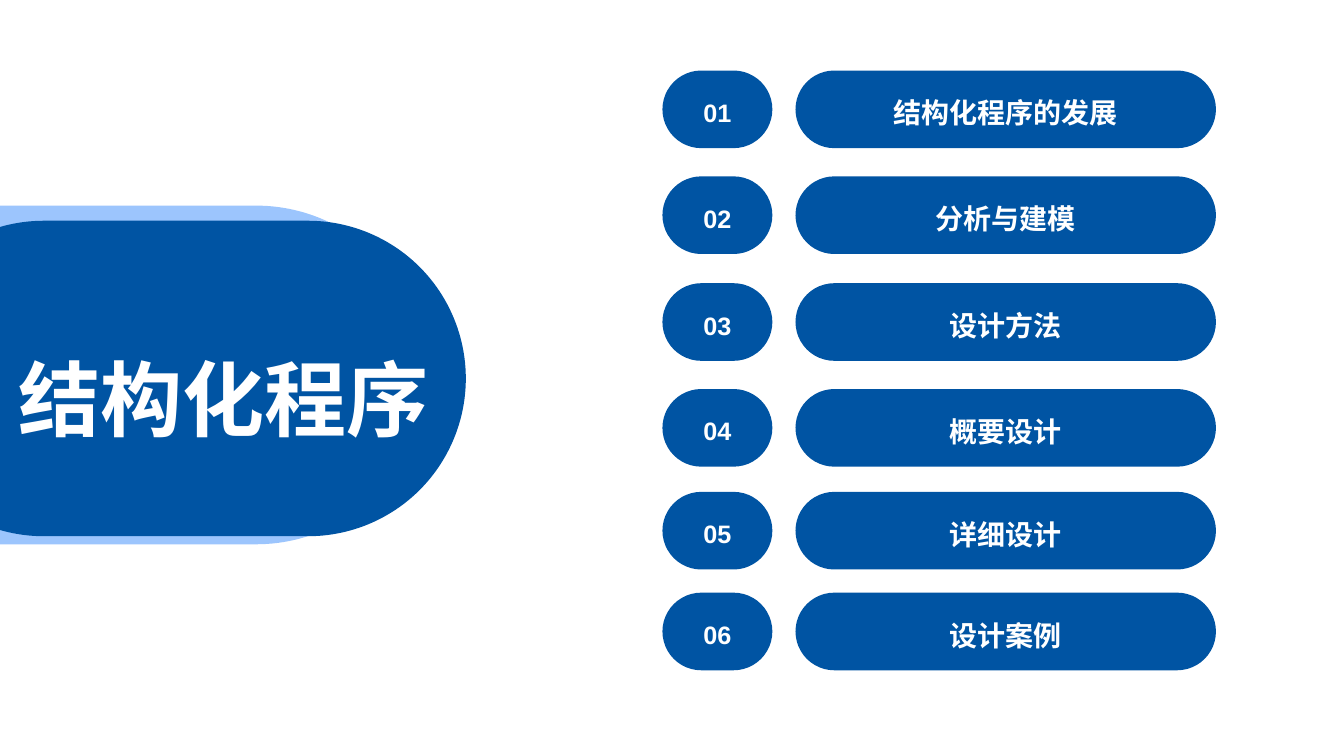
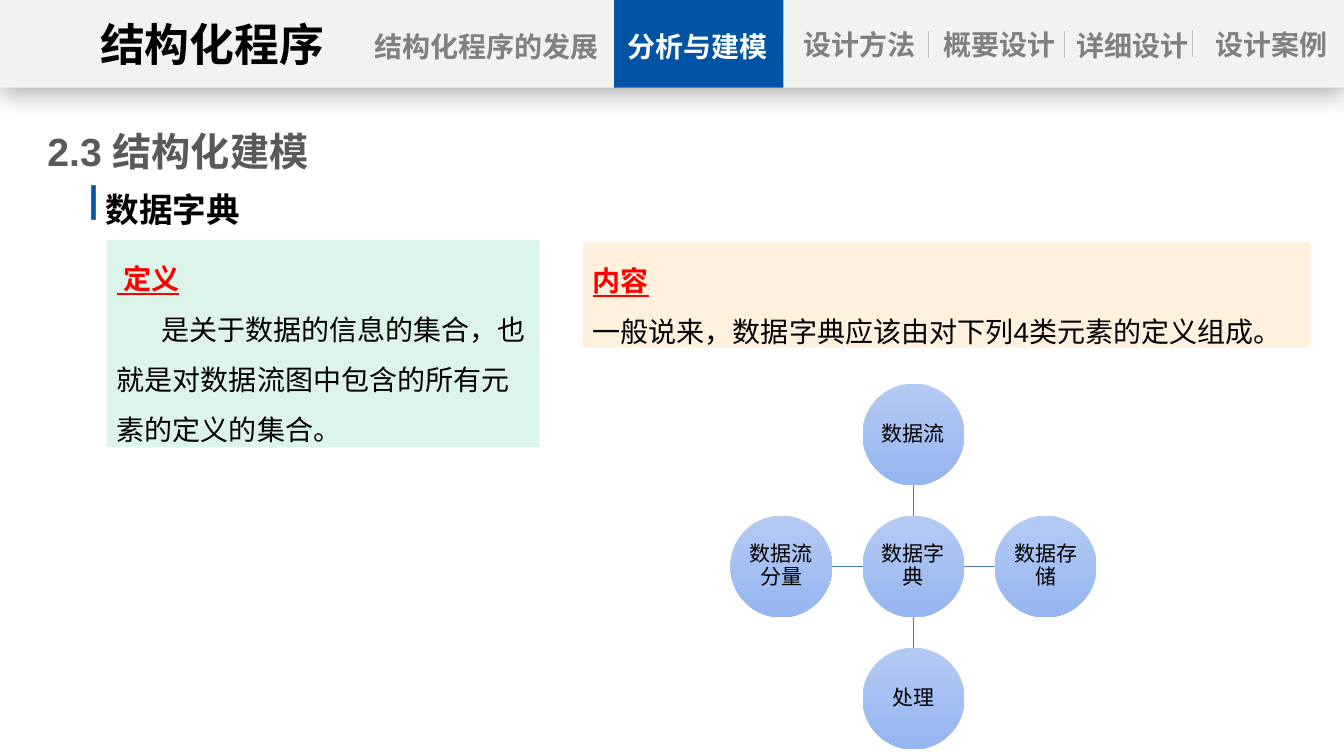
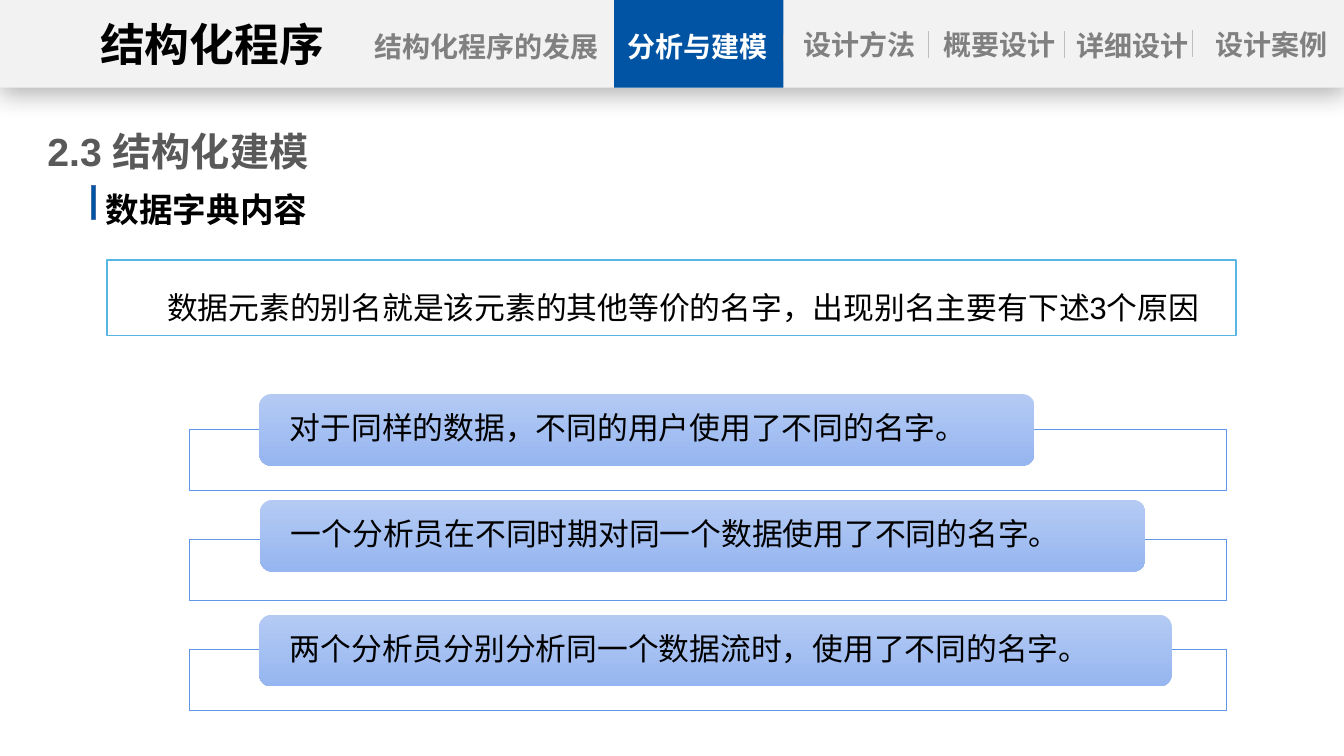
import pptx
import pptx.dml.color
import pptx.enum.lang
import pptx.enum.shapes
import pptx.enum.text
import pptx.oxml
import pptx.oxml.ns
import pptx.util

RGB = pptx.dml.color.RGBColor
SHAPE = pptx.enum.shapes.MSO_SHAPE
ALIGN = pptx.enum.text.PP_ALIGN
ANCHOR = pptx.enum.text.MSO_ANCHOR

BLUE = RGB(0x00, 0x54, 0xA3)
PALE_BLUE = RGB(0x9C, 0xC5, 0xFD)
GRADIENT = (RGB(0xB4, 0xCA, 0xF3), RGB(0x96, 0xB6, 0xF1))
SPOKE_BLUE = RGB(0x4D, 0x78, 0xB8)
BAR_EDGE = RGB(0x47, 0x6F, 0xAA)
NOTE_EDGE = RGB(0x58, 0xB6, 0xE5)
FRAME_EDGE = RGB(0x60, 0x96, 0xE6)
MINT = RGB(0xDD, 0xF4, 0xEA)
CREAM = RGB(0xFF, 0xF1, 0xDD)
BAND_GREY = RGB(0xF2, 0xF2, 0xF2)
DIVIDER_GREY = RGB(0xBF, 0xBF, 0xBF)
TAB_GREY = RGB(0x80, 0x80, 0x80)
TITLE_GREY = RGB(0x59, 0x59, 0x59)
RED = RGB(0xFF, 0x00, 0x00)
BLACK = RGB(0x00, 0x00, 0x00)
WHITE = RGB(0xFF, 0xFF, 0xFF)

FONT = "Arial"
SLIDE_WIDTH, SLIDE_HEIGHT = 13.33, 7.5
BAND_HEIGHT = 0.87
TITLE_ONLY = 5
COURSE = "结构化程序"
CHAPTERS = ("结构化程序的发展", "分析与建模", "设计方法",
            "概要设计", "详细设计", "设计案例")
CURRENT = "分析与建模"
NO_SIDE_INSET = (0, 0.05)


def inches(*lengths):
    return [pptx.util.Inches(length) for length in lengths]


def write(box, text, size=20, color=BLACK, bold=False, underline=False,
          align=ALIGN.LEFT, spacing=1.0, indent=0, anchor=ANCHOR.TOP,
          inset=(0.1, 0.05), wrap=True, more=False):
    """Write one paragraph into a box; more=True adds it below the others."""
    frame = box.text_frame
    frame.word_wrap = wrap
    frame.auto_size = pptx.enum.text.MSO_AUTO_SIZE.NONE
    frame.vertical_anchor = anchor
    frame.margin_left = frame.margin_right = pptx.util.Inches(inset[0])
    frame.margin_top = frame.margin_bottom = pptx.util.Inches(inset[1])
    para = frame.add_paragraph() if more else frame.paragraphs[0]
    para.alignment = align
    para.line_spacing = spacing
    if indent:
        properties = para._p.get_or_add_pPr()
        properties.set("marL", "0")
        properties.set("indent", str(pptx.util.Inches(indent)))
    span = para.add_run()
    span.text = text
    font = span.font
    font.name, font.size, font.bold = FONT, pptx.util.Pt(size), bold
    font.underline = underline
    font.color.rgb = color
    font.language_id = pptx.enum.lang.MSO_LANGUAGE_ID.SIMPLIFIED_CHINESE


def add_text(slide, at, text, **style):
    box = slide.shapes.add_textbox(*inches(*at))
    write(box, text, **style)
    return box


def add_box(slide, kind, at, fill, edge=None, edge_width=1):
    """Add a preset shape; a pair of colours as fill makes a gradient."""
    box = slide.shapes.add_shape(kind, *inches(*at))
    box.shadow.inherit = False
    if fill is GRADIENT:
        box.fill.gradient()
        box.fill.gradient_angle = 270
        for stop, color in zip(box.fill.gradient_stops, fill):
            stop.color.rgb = color
    else:
        box.fill.solid()
        box.fill.fore_color.rgb = fill
    if edge is None:
        box.line.fill.background()
    else:
        box.line.color.rgb = edge
        box.line.width = pptx.util.Pt(edge_width)
    return box


def add_pill(slide, at, fill=BLUE):
    pill = add_box(slide, SHAPE.ROUNDED_RECTANGLE, at, fill)
    pill.adjustments[0] = 0.5
    return pill


def add_line(slide, start, end, color, width):
    line = slide.shapes.add_connector(
        pptx.enum.shapes.MSO_CONNECTOR.STRAIGHT, *inches(*start, *end))
    line.line.color.rgb = color
    line.line.width = pptx.util.Pt(width)
    line._element.spPr.append(pptx.oxml.parse_xml(
        f"<a:effectLst {pptx.oxml.ns.nsdecls('a')}/>"))


def set_title(slide, at, text, **style):
    title = slide.shapes.title
    title.left, title.top, title.width, title.height = inches(*at)
    write(title, text, **style)
    # Bring the title in front of the shapes drawn so far
    slide.shapes.element.append(title.element)


def cast_shadow(box):
    effects = box._element.spPr.find(pptx.oxml.ns.qn("a:effectLst"))
    effects.append(pptx.oxml.parse_xml(
        f'<a:outerShdw {pptx.oxml.ns.nsdecls("a")} blurRad="228600" '
        'dist="50800" dir="5400000" algn="t" rotWithShape="0">'
        '<a:srgbClr val="000000"><a:alpha val="29000"/></a:srgbClr>'
        '</a:outerShdw>'))


def add_navigation(slide):
    """Grey band with the course name and one tab per chapter."""
    band = add_box(slide, SHAPE.RECTANGLE,
                   (0, 0, SLIDE_WIDTH, BAND_HEIGHT), BAND_GREY)
    cast_shadow(band)
    add_box(slide, SHAPE.RECTANGLE, (6.09, 0, 1.68, BAND_HEIGHT), BLUE)
    add_text(slide, (0.91, 0.12, 2.39, 0.64), COURSE, size=32, bold=True,
             align=ALIGN.CENTER, inset=NO_SIDE_INSET)
    tabs = ((3.64, 0.24, 2.37), (6.18, 0.24, 1.47), (7.79, 0.22, 1.47),
            (9.18, 0.22, 1.47), (10.47, 0.23, 1.52), (11.88, 0.22, 1.47))
    for chapter, tab in zip(CHAPTERS, tabs):
        add_text(slide, (*tab, 0.44), chapter, bold=True,
                 color=WHITE if chapter == CURRENT else TAB_GREY,
                 align=ALIGN.CENTER, inset=NO_SIDE_INSET)
    for left, top in ((7.77, 0.34), (9.21, 0.31), (10.56, 0.31), (11.83, 0.3)):
        add_line(slide, (left, top), (left, top + 0.27), DIVIDER_GREY, 0.5)


def add_slide(deck):
    return deck.slides.add_slide(deck.slide_layouts[TITLE_ONLY])


def add_topic_slide(deck, topic):
    """Slide with navigation, section title and a topic beside a blue bar."""
    slide = add_slide(deck)
    add_navigation(slide)
    set_title(slide, (0.47, 1.21, 2.83, 0.58), "2.3 结构化建模", size=28,
              color=TITLE_GREY, bold=True, inset=NO_SIDE_INSET)
    add_box(slide, SHAPE.RECTANGLE, (0.91, 1.84, 0.04, 0.34), BLUE, BAR_EDGE)
    add_text(slide, (0.95, 1.83, 5.54, 0.5), topic, size=24, bold=True)
    return slide


def add_card(slide, at, fill, heading, body, indent=0):
    card = add_box(slide, SHAPE.RECTANGLE, at, fill)
    write(card, heading, color=RED, bold=True, underline=True, spacing=1.5)
    write(card, body, spacing=1.5, indent=indent, more=True)


def add_hub(slide, center, hub, spokes):
    """Hub circle with one circle per direction, each joined by a line."""
    diameter, pitch = 1.01, 1.31
    radius = diameter / 2

    def add_circle(x, y, label):
        circle = add_box(slide, SHAPE.OVAL,
                         (x - radius, y - radius, diameter, diameter), GRADIENT)
        write(circle, label, size=15, align=ALIGN.CENTER, spacing=0.9,
              anchor=ANCHOR.MIDDLE, inset=(0.01, 0.01))

    x, y = center
    add_circle(x, y, hub)
    for label, (across, down) in spokes.items():
        near, far = radius, pitch - radius
        add_line(slide, (x + across * near, y + down * near),
                 (x + across * far, y + down * far), SPOKE_BLUE, 1)
        add_circle(x + across * pitch, y + down * pitch, label)


def add_reason(slide, frame_top, pill_at, text):
    add_box(slide, SHAPE.RECTANGLE, (1.88, frame_top, 10.28, 0.61),
            WHITE, FRAME_EDGE, 0.5)
    pill = add_box(slide, SHAPE.ROUNDED_RECTANGLE, (*pill_at, 0.71), GRADIENT)
    write(pill, text, size=22, spacing=0.9, anchor=ANCHOR.MIDDLE,
          inset=(0.27, 0))


def build_contents(deck):
    slide = add_slide(deck)
    add_pill(slide, (-1.96, 2.04, 6.18, 3.36), PALE_BLUE)
    add_pill(slide, (-1.13, 2.19, 5.75, 3.13))
    set_title(slide, (0.06, 3.21, 4.31, 1.18), COURSE, size=58.6, color=WHITE,
              bold=True, align=ALIGN.CENTER, spacing=1.2, wrap=False)
    # Chapter number and name, one row each
    row_tops = (0.7, 1.75, 2.81, 3.86, 4.88, 5.88)
    for number, (chapter, top) in enumerate(zip(CHAPTERS, row_tops), 1):
        for left, width, text, size in ((6.57, 1.09, f"{number:02}", 18),
                                        (7.89, 4.17, chapter, 20)):
            write(add_pill(slide, (left, top, width, 0.77)), text, size=size,
                  color=WHITE, bold=True, align=ALIGN.CENTER, spacing=1.2,
                  anchor=ANCHOR.MIDDLE)


def build_dictionary(deck):
    slide = add_topic_slide(deck, "数据字典")
    add_card(slide, (1.06, 2.38, 4.29, 2.06), MINT, " 定义",
             "是关于数据的信息的集合，也就是对数据流图中包含的所有元素的定义的集合。",
             indent=0.44)
    add_card(slide, (5.78, 2.4, 7.22, 1.05), CREAM, "内容",
             "一般说来，数据字典应该由对下列4类元素的定义组成。")
    add_hub(slide, (9.06, 5.62), "数据字典",
            {"数据流": (0, -1), "数据存储": (1, 0),
             "处理": (0, 1), "数据流分量": (-1, 0)})


def build_aliases(deck):
    slide = add_topic_slide(deck, "数据字典内容")
    note = add_box(slide, SHAPE.RECTANGLE, (1.06, 2.58, 11.2, 0.75),
                   WHITE, NOTE_EDGE)
    write(note, "数据元素的别名就是该元素的其他等价的名字，出现别名主要有下述3个原因",
          size=22, spacing=1.5, indent=0.5, anchor=ANCHOR.MIDDLE)
    reasons = (
        ((2.57, 3.91, 7.69), "对于同样的数据，不同的用户使用了不同的名字。"),
        ((2.58, 4.96, 8.78), "一个分析员在不同时期对同一个数据使用了不同的名字。"),
        ((2.57, 6.1, 9.05), "两个分析员分别分析同一个数据流时，使用了不同的名字。"),
    )
    for row, (pill_at, text) in enumerate(reasons):
        add_reason(slide, 4.26 + row * 1.09, pill_at, text)


def main():
    deck = pptx.Presentation()
    deck.slide_width, deck.slide_height = inches(SLIDE_WIDTH, SLIDE_HEIGHT)
    build_contents(deck)
    build_dictionary(deck)
    build_aliases(deck)
    deck.save("out.pptx")


if __name__ == "__main__":
    main()
